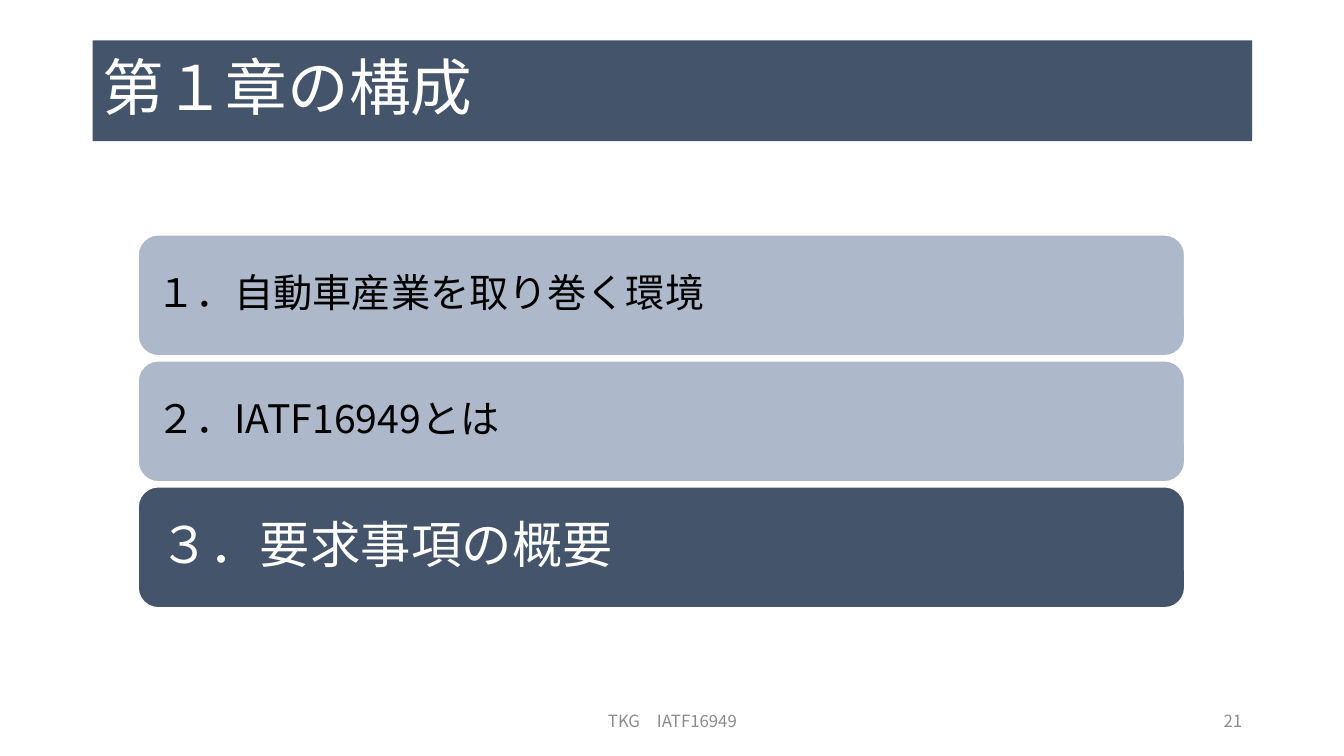
"""Build the chapter 1 outline slide with its third section highlighted."""
from dataclasses import dataclass

import lxml.etree
import pptx
import pptx.dml.color
import pptx.enum.shapes
import pptx.enum.text
import pptx.oxml.ns
import pptx.slide
import pptx.util

Inches = pptx.util.Inches
SHAPE = pptx.enum.shapes.MSO_SHAPE
ALIGN = pptx.enum.text.PP_ALIGN
FONT = "Noto Sans CJK JP"
COLORS = {
    "navy": "44546A",
    "mist": "ADB9CA",
    "white": "FFFFFF",
    "black": "000000",
    "gray": "8C8C8C",
}


@dataclass(frozen=True)
class Label:
    text: str
    size: int
    color: str
    align: ALIGN = ALIGN.LEFT
    inset: float = 0.1
    spacing: float = 1.0


@dataclass(frozen=True)
class Box:
    left: float
    top: float
    width: float
    height: float
    label: Label


@dataclass(frozen=True)
class Section:
    text: str
    size: int
    color: str
    fill: str
    inset: float


SECTIONS = [
    Section("１．自動車産業を取り巻く環境", 28, "black", "mist", 0.12),
    Section("２．IATF16949とは", 28, "black", "mist", 0.12),
    Section("３．要求事項の概要", 36, "white", "navy", 0.15),
]
SECTION_TOP, SECTION_PITCH = 2.33, 1.25
TITLE = Box(0.92, 0.4, 11.5, 1, Label("第１章の構成", 44, "white", spacing=0.9))
FOOTERS = [
    Box(4.42, 6.95, 4.5, 0.4, Label("TKG　IATF16949", 12, "gray", ALIGN.CENTER)),
    Box(9.42, 6.95, 3, 0.4, Label("21", 12, "gray", ALIGN.RIGHT)),
]


def rgb(name: str) -> pptx.dml.color.RGBColor:
    return pptx.dml.color.RGBColor.from_string(COLORS[name])


def write_label(tf: pptx.text.text.TextFrame, label: Label) -> None:
    tf.word_wrap = True
    tf.vertical_anchor = pptx.enum.text.MSO_ANCHOR.MIDDLE
    tf.margin_left = tf.margin_right = Inches(label.inset)
    tf.margin_top = tf.margin_bottom = Inches(max(label.inset, 0.05) if label.inset > 0.1 else 0.05)
    p = tf.paragraphs[0]
    p.text = label.text
    p.alignment = label.align
    p.line_spacing = label.spacing
    p.font.size = pptx.util.Pt(label.size)
    p.font.name = FONT
    p.font.color.rgb = rgb(label.color)
    qn = pptx.oxml.ns.qn
    defaults = p._p.pPr.find(qn("a:defRPr"))
    lxml.etree.SubElement(defaults, qn("a:ea"), typeface=FONT)


def add_panel(slide: pptx.slide.Slide, box: Box, kind: SHAPE, fill: str, outlined: bool) -> None:
    sp = slide.shapes.add_shape(
        kind, Inches(box.left), Inches(box.top), Inches(box.width), Inches(box.height)
    )
    sp.shadow.inherit = False
    sp.fill.solid()
    sp.fill.fore_color.rgb = rgb(fill)
    if outlined:
        sp.line.color.rgb = rgb("white")
        sp.line.width = pptx.util.Pt(1)
    else:
        sp.line.fill.background()
    write_label(sp.text_frame, box.label)


def add_footer(slide: pptx.slide.Slide, box: Box) -> None:
    sp = slide.shapes.add_textbox(
        Inches(box.left), Inches(box.top), Inches(box.width), Inches(box.height)
    )
    write_label(sp.text_frame, box.label)


def main() -> None:
    prs = pptx.Presentation()
    prs.slide_width, prs.slide_height = Inches(13.33), Inches(7.5)
    s = prs.slides.add_slide(prs.slide_layouts[6])
    add_panel(s, TITLE, SHAPE.RECTANGLE, "navy", outlined=False)
    for i, section in enumerate(SECTIONS):
        label = Label(section.text, section.size, section.color, inset=section.inset, spacing=0.9)
        box = Box(1.37, SECTION_TOP + i * SECTION_PITCH, 10.38, 1.2, label)
        add_panel(s, box, SHAPE.ROUNDED_RECTANGLE, section.fill, outlined=True)
    for footer in FOOTERS:
        add_footer(s, footer)
    prs.save("out.pptx")


if __name__ == "__main__":
    main()
